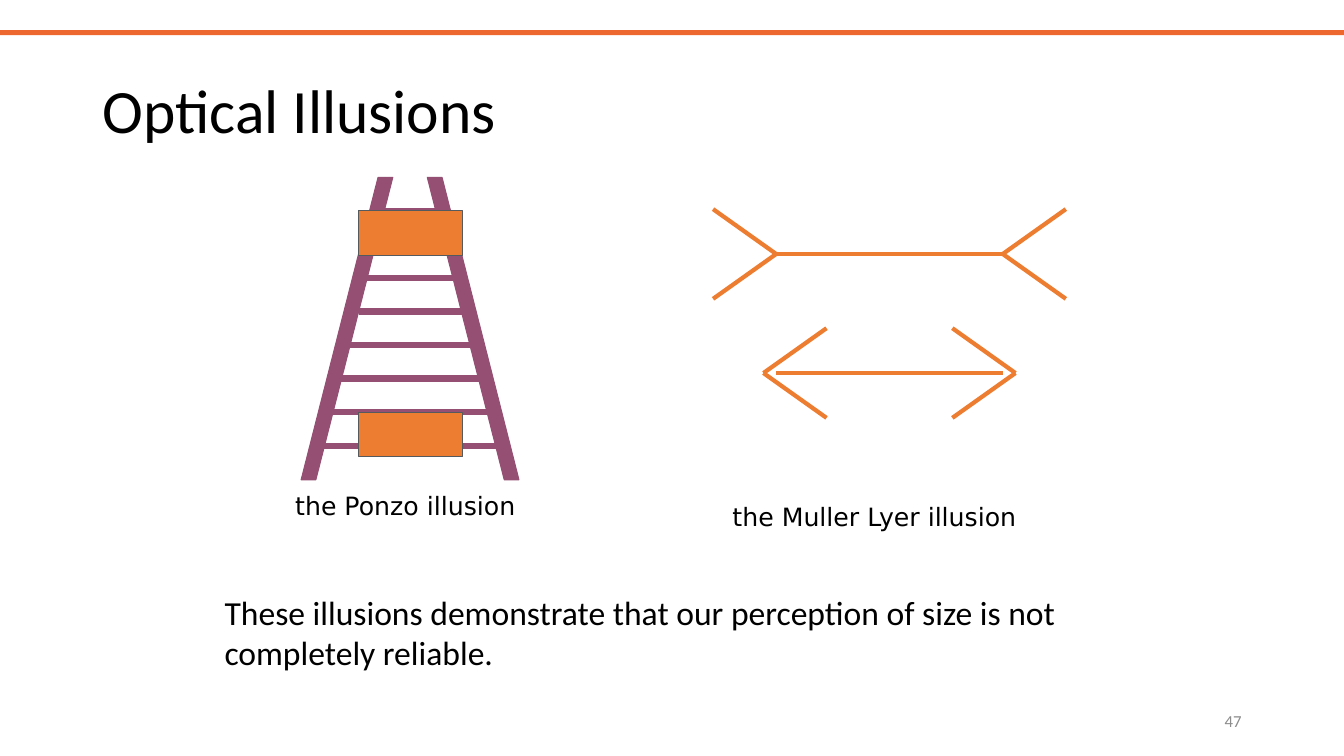
from dataclasses import dataclass

from lxml import etree
from pptx import Presentation
from pptx import util as u
from pptx.dml.color import RGBColor
from pptx.enum import shapes, text
from pptx.oxml import ns

Cm, Pt = u.Cm, u.Pt


@dataclass(frozen=True)
class Theme:
    accent: str = "ED682F"
    orange: str = "ED7D31"
    purple: str = "954F72"
    outline: str = "555A5E"
    ink: str = "000000"
    grey: str = "8C8C8C"
    font: str = "Calibri"
    caption_font: str = "DejaVu Sans"
    title: int = 44
    body: int = 24
    caption: int = 18
    number: int = 12


T = Theme()


def rgb(value):
    return RGBColor.from_string(value)


def add_shape(parent, kind, x, y, w, h, fill, line=None):
    sp = parent.add_shape(kind, Cm(x), Cm(y), Cm(w), Cm(h))
    sp.shadow.inherit = False
    sp.fill.solid()
    sp.fill.fore_color.rgb = rgb(fill)
    if line:
        sp.line.color.rgb = rgb(line)
        sp.line.width = Pt(0.75)
    else:
        sp.line.fill.background()
    return sp


def add_line(parent, x1, y1, x2, y2, color, width):
    c = parent.add_connector(shapes.MSO_CONNECTOR.STRAIGHT,
                             Cm(x1), Cm(y1), Cm(x2), Cm(y2))
    c.line.color.rgb = rgb(color)
    c.line.width = Pt(width)
    etree.SubElement(c._element.spPr, ns.qn("a:effectLst"))


def add_text(s, x, y, w, h, content, size, font=T.font, color=T.ink,
             wrap=True, anchor=text.MSO_ANCHOR.TOP,
             align=text.PP_ALIGN.LEFT, spacing=1.0):
    tf = s.shapes.add_textbox(Cm(x), Cm(y), Cm(w), Cm(h)).text_frame
    tf.word_wrap = wrap
    tf.vertical_anchor = anchor
    p = tf.paragraphs[0]
    p.alignment = align
    p.line_spacing = spacing
    r = p.add_run()
    r.text = content
    r.font.size = Pt(size)
    r.font.name = font
    r.font.color.rgb = rgb(color)


def add_ponzo(s):
    """Converging rails with sleepers and two equal blocks."""
    g = s.shapes.add_group_shape().shapes
    for x, flipped in ((7.59, False), (10.77, True)):
        rail = add_shape(g, shapes.MSO_SHAPE.PARALLELOGRAM, x, 4.47, 2.31, 7.62,
                         T.purple, T.purple)
        rail.adjustments[0] = 0.839
        if flipped:
            rail._element.spPr.xfrm.set("flipH", "1")

    bottom, top = 11.23, 5.31
    # Sleeper ends by row, counted upwards; row 6 has none.
    sleepers = {0: (7.87, 12.52), 1: (8.18, 12.52), 2: (8.46, 12.22),
                3: (8.76, 11.94), 4: (9.04, 11.66), 5: (9.04, 11.66),
                7: (9.63, 11.07)}
    for row, (left, right) in sleepers.items():
        y = bottom - row * (bottom - top) / 7
        add_line(g, left, y, right, y, T.purple, 4.5)

    for y in (10.39, top):
        add_shape(g, shapes.MSO_SHAPE.RECTANGLE, 9.04, y, 2.62, 1.12,
                  T.orange, T.outline)


def add_muller_lyer(s):
    """Two equal shafts, one with fins pointing out and one with fins pointing in."""
    g = s.shapes.add_group_shape().shapes
    shaft_left, shaft_right = 19.56, 25.27
    fin_w, fin_h = 1.59, 1.13
    for y, overhang, outward in ((6.4, 0, 1), (9.4, 0.32, -1)):
        for tip, side in ((shaft_left - overhang, -1), (shaft_right + overhang, 1)):
            for up in (-1, 1):
                add_line(g, tip, y, tip + side * outward * fin_w, y + up * fin_h,
                         T.orange, 3)
        add_line(g, shaft_left, y, shaft_right, y, T.orange, 3)


def main():
    prs = Presentation()
    prs.slide_width, prs.slide_height = Cm(33.87), Cm(19.05)
    s = prs.slides.add_slide(prs.slide_layouts[6])

    add_shape(s.shapes, shapes.MSO_SHAPE.RECTANGLE, 0, 0.76, 33.87, 0.13, T.accent)
    add_text(s, 2.33, 1.01, 29.21, 3.68, "Optical Illusions", T.title,
             anchor=text.MSO_ANCHOR.MIDDLE, spacing=0.9)
    add_text(s, 23.92, 17.66, 7.62, 1.01, "47", T.number, color=T.grey,
             anchor=text.MSO_ANCHOR.MIDDLE, align=text.PP_ALIGN.RIGHT)

    add_ponzo(s)
    add_muller_lyer(s)

    add_text(s, 7.19, 12.22, 6.1, 1.03, "the Ponzo illusion", T.caption,
             font=T.caption_font, wrap=False)
    add_text(s, 18.21, 12.5, 7.75, 1.03, "the Muller Lyer illusion", T.caption,
             font=T.caption_font, wrap=False)
    add_text(s, 5.41, 14.78, 23.06, 2.31,
             "These illusions demonstrate that our perception of size is not "
             "completely reliable.", T.body)

    prs.save("out.pptx")


if __name__ == "__main__":
    main()
